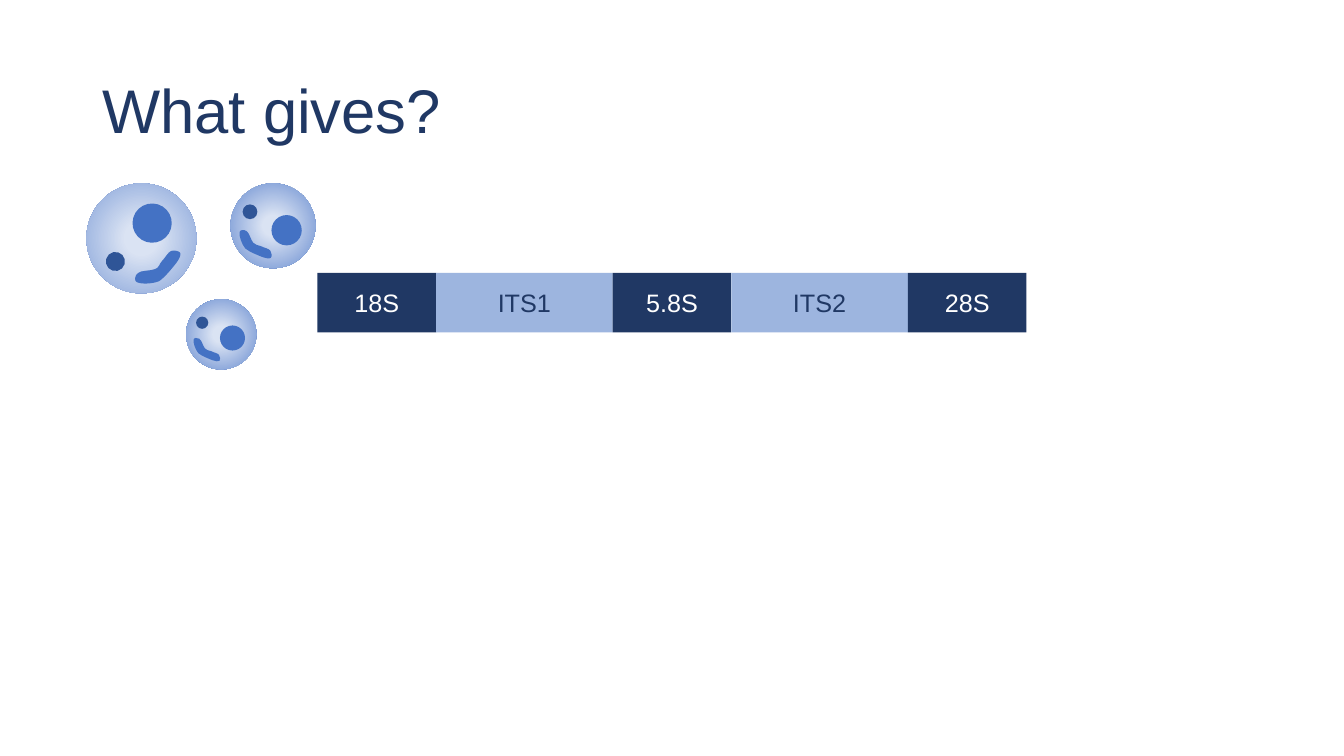
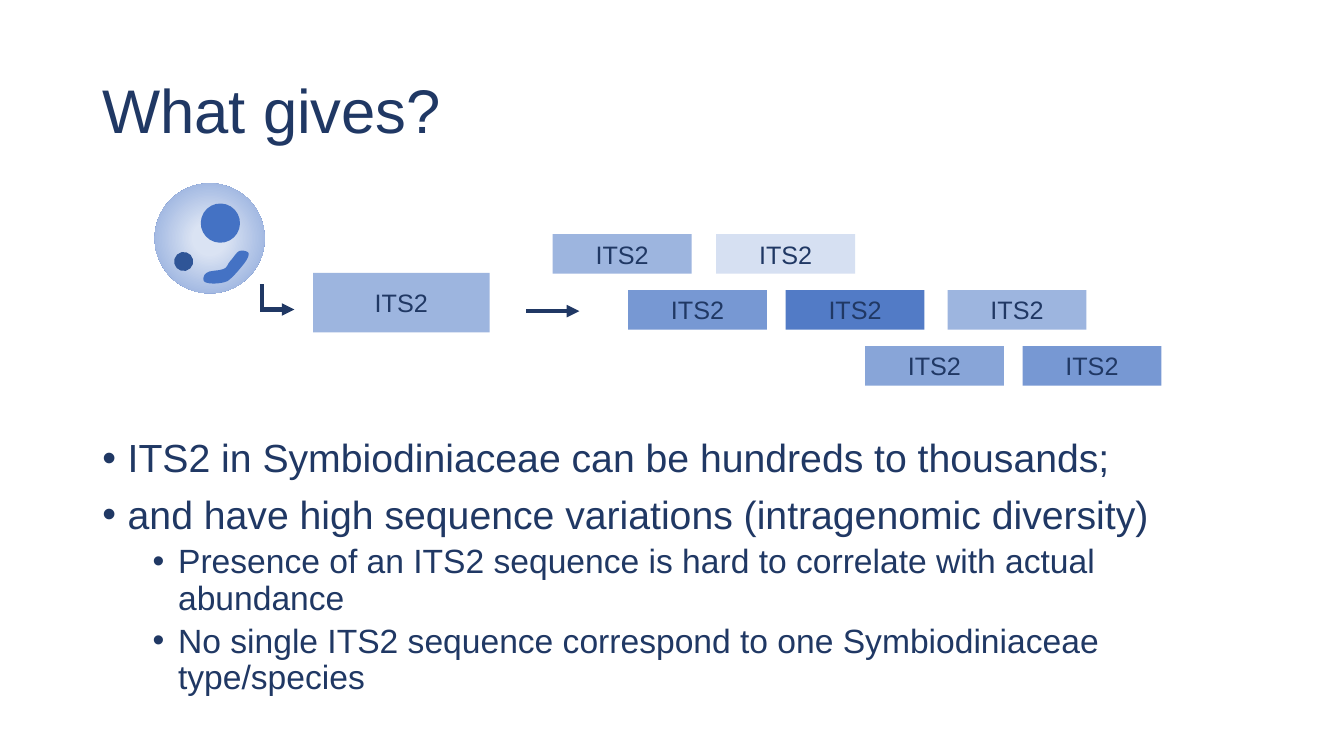
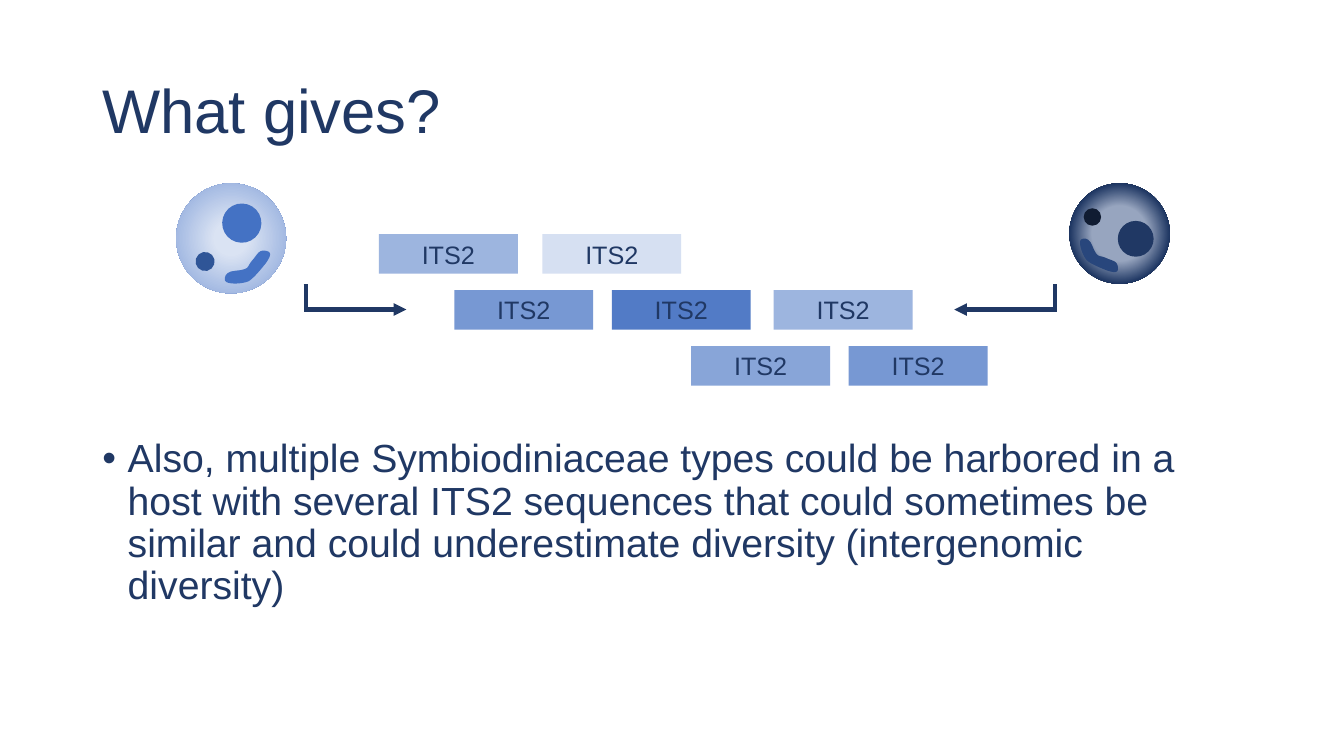
import math

import lxml.etree
import pptx
import pptx.dml.color
import pptx.enum.shapes
import pptx.enum.text
import pptx.oxml.ns
import pptx.util

Cm = pptx.util.Cm
qn = pptx.oxml.ns.qn
SHAPE = pptx.enum.shapes.MSO_SHAPE
CONNECTOR = pptx.enum.shapes.MSO_CONNECTOR
MIDDLE = pptx.enum.text.MSO_ANCHOR.MIDDLE
CENTER = pptx.enum.text.PP_ALIGN.CENTER

COLORS = {
    "navy": "203864", "white": "FFFFFF", "spacer": "9DB5DF", "pale": "D6E0F2",
    "soft": "88A5D8", "medium": "7798D3", "strong": "527BC6", "blue": "4472C4",
    "deep": "2F5597", "ice": "DAE3F3", "sky": "8FAADC", "slate": "97A5BF",
    "midnight": "101C32", "denim": "28467C",
}
LIGHT_CELL = {
    "body": [(17, "ice"), (72, "sky"), (100, "blue")],
    "nucleus": "blue", "vacuole": "deep", "plastid": "blue",
}
DARK_CELL = {
    "body": [(39, "slate"), (70, "navy"), (100, "midnight")],
    "nucleus": "navy", "vacuole": "midnight", "plastid": "denim",
}
BASE_TILT = 17
CELL_TOP = 4.62
BIG_CELL = 2.77
GENE_TOP, GENE_HEIGHT = 6.88, 1.5
CODING_WIDTH, SPACER_WIDTH = 2.99, 4.45
VARIANT_TOP, VARIANT_STEP = 5.9, 1.41
VARIANT_WIDTH, VARIANT_HEIGHT = 3.5, 1.0
ELBOW_OFFSET = 0.06

ROUND_PARTS = [("nucleus", 9.7, -13.8, 35.7), ("vacuole", -23.7, 21.1, 17.4)]
PLASTID_START = (35.3, 13.3)
PLASTID_CURVES = [
    [(34.4, 11.5), (29.8, 10.6), (27.1, 11.5)],
    [(24.3, 12.4), (21.6, 17.9), (18.8, 20.6)],
    [(16.1, 23.4), (16.1, 27.1), (12.4, 28)],
    [(8.7, 29.8), (-0.5, 28.9), (-3.2, 31.7)],
    [(-6, 33.5), (-6.9, 39), (-4.1, 39.9)],
    [(-0.5, 41.7), (9.6, 41.7), (16.1, 39)],
    [(21.6, 35.3), (28, 27.1), (31.7, 22.5)],
    [(34.4, 18.8), (36.2, 15.1), PLASTID_START],
]
VARIANTS = [
    (0, 0, "spacer"), (4.12, 0, "pale"),
    (1.9, 1, "medium"), (5.87, 1, "strong"), (9.95, 1, "spacer"),
    (11.84, 2, "medium"), (7.87, 2, "soft"),
]
BULLET_LEVELS = [
    {"size": 28, "before": 10, "margin": 0.64},
    {"size": 24, "before": 5, "margin": 1.91},
]


def rgb(color):
    """Return the named colour."""
    return pptx.dml.color.RGBColor.from_string(COLORS[color])


def apply_format(target, values):
    """Set each attribute named in values on the target."""
    for name, value in values.items():
        setattr(target, name, value)


def add_child(parent, tag, **attributes):
    """Append a DrawingML element and return it."""
    child = lxml.etree.SubElement(parent, qn(tag))
    for name, value in attributes.items():
        child.set(name, str(value))
    return child


def write(paragraph, text, size, color):
    """Write one styled run into the paragraph."""
    run = paragraph.add_run()
    run.text = text
    apply_format(run.font, {"name": "Arial", "size": pptx.util.Pt(size)})
    run.font.color.rgb = rgb(color)


def paint(part, color):
    """Give a part a flat fill without outline or shadow."""
    part.fill.solid()
    part.fill.fore_color.rgb = rgb(color)
    part.line.fill.background()
    part.shadow.inherit = False


def paint_radial(part, stops):
    """Replace the fill of a part by a circular gradient."""
    part.fill.gradient()
    gradient = part._element.spPr.find(qn("a:gradFill"))
    gradient.clear()
    gradient.set("rotWithShape", "1")
    stop_list = add_child(gradient, "a:gsLst")
    for position, color in stops:
        stop = add_child(stop_list, "a:gs", pos=position * 1000)
        add_child(stop, "a:srgbClr", val=COLORS[color])
    circle = add_child(gradient, "a:path", path="circle")
    add_child(circle, "a:fillToRect", l=50000, t=50000, r=50000, b=50000)


def add_box(shapes, label, left, top, width, height, fill, ink="navy"):
    """Add a labelled sequence box."""
    box = shapes.add_shape(SHAPE.RECTANGLE, Cm(left), Cm(top), Cm(width), Cm(height))
    paint(box, fill)
    box.text_frame.vertical_anchor = MIDDLE
    paragraph = box.text_frame.paragraphs[0]
    paragraph.alignment = CENTER
    write(paragraph, label, 18, ink)


def add_disc(shapes, center, diameter, tilt, color):
    """Add a tilted disc around its centre."""
    left, top = (Cm(value - diameter / 2) for value in center)
    disc = shapes.add_shape(SHAPE.OVAL, left, top, Cm(diameter), Cm(diameter))
    paint(disc, color)
    disc.rotation = tilt
    return disc


def add_curved_outline(shapes, start, controls, color):
    """Add a closed outline whose points, taken by threes, are cubic curves."""
    builder = shapes.build_freeform(*start)
    builder.add_line_segments(controls)
    outline = builder.convert_to_shape()
    paint(outline, color)
    segments = list(outline._element.iter(qn("a:lnTo")))
    for index in range(0, len(segments), 3):
        curve = lxml.etree.Element(qn("a:cubicBezTo"))
        segments[index].addprevious(curve)
        for segment in segments[index:index + 3]:
            curve.append(segment[0])
            segment.getparent().remove(segment)


def add_cell(slide, left, diameter, top=CELL_TOP, tilt=BASE_TILT, palette=LIGHT_CELL):
    """Add a grouped algal cell with its organelles."""
    shapes = slide.shapes.add_group_shape().shapes
    center = (left + diameter / 2, top + diameter / 2)
    turn = math.radians(tilt - BASE_TILT)

    def place(x, y):
        """Turn a percent offset into a slide position."""
        return (center[0] + (x * math.cos(turn) - y * math.sin(turn)) * diameter / 100,
                center[1] + (x * math.sin(turn) + y * math.cos(turn)) * diameter / 100)

    body = add_disc(shapes, center, diameter, tilt, palette["nucleus"])
    paint_radial(body, palette["body"])
    for name, x, y, share in ROUND_PARTS:
        add_disc(shapes, place(x, y), diameter * share / 100, tilt, palette[name])
    start, *controls = [
        tuple(Cm(value) for value in place(*point))
        for point in (PLASTID_START, *(point for curve in PLASTID_CURVES for point in curve))
    ]
    add_curved_outline(shapes, start, controls, palette["plastid"])


def add_arrow(slide, start, end, kind=CONNECTOR.ELBOW):
    """Add an arrow, bent close to its start if it is an elbow."""
    arrow = slide.shapes.add_connector(kind, *(Cm(value) for value in (*start, *end)))
    arrow.line.color.rgb = rgb("navy")
    arrow.line.width = pptx.util.Pt(3)
    properties = arrow._element.spPr
    stroke = properties.find(qn("a:ln"))
    add_child(stroke, "a:miter", lim=800000)
    add_child(stroke, "a:tailEnd", type="triangle")
    add_child(properties, "a:effectLst")
    if kind == CONNECTOR.ELBOW:
        bend = round(100000 * ELBOW_OFFSET / abs(end[0] - start[0]))
        guides = properties.find(qn("a:prstGeom")).find(qn("a:avLst"))
        add_child(guides, "a:gd", name="adj1", fmla=f"val {bend}")


def add_text_area(slide, top, height):
    """Add a wrapped text area in the shared column."""
    frame = slide.shapes.add_textbox(Cm(2.33), Cm(top), Cm(29.21), Cm(height)).text_frame
    frame.word_wrap = True
    return frame


def add_bullets(slide, items):
    """Add the bulleted body from (level, text) items."""
    frame = add_text_area(slide, 10.94, 6.81)
    for index, (level, text) in enumerate(items):
        paragraph = frame.add_paragraph() if index else frame.paragraphs[0]
        style = BULLET_LEVELS[level]
        apply_format(paragraph, {"level": level, "line_spacing": 0.9,
                                 "space_before": pptx.util.Pt(style["before"])})
        properties = paragraph._p.get_or_add_pPr()
        properties.set("marL", str(Cm(style["margin"])))
        properties.set("indent", str(-Cm(0.64)))
        add_child(properties, "a:buFont", typeface="Arial")
        add_child(properties, "a:buChar", char="•")
        write(paragraph, text, style["size"], "navy")


def add_gene(slide):
    """Add the row of coding regions and spacers."""
    shapes = slide.shapes.add_group_shape().shapes
    left = 8.0
    for label in ("18S", "ITS1", "5.8S", "ITS2", "28S"):
        spacer = label.startswith("ITS")
        width = SPACER_WIDTH if spacer else CODING_WIDTH
        fill, ink = ("spacer", "navy") if spacer else ("navy", "white")
        add_box(shapes, label, left, GENE_TOP, width, GENE_HEIGHT, fill, ink)
        left += width


def add_variants(slide, left):
    """Add the scattered ITS2 sequence variants."""
    for offset, row, fill in VARIANTS:
        add_box(slide.shapes, "ITS2", left + offset, VARIANT_TOP + row * VARIANT_STEP,
                VARIANT_WIDTH, VARIANT_HEIGHT, fill)


def add_titled_slide(deck):
    """Add a slide with the shared title."""
    slide = deck.slides.add_slide(deck.slide_layouts[6])
    frame = add_text_area(slide, 1.01, 3.68)
    frame.vertical_anchor = MIDDLE
    frame.paragraphs[0].line_spacing = 0.9
    write(frame.paragraphs[0], "What gives?", 44, "navy")
    return slide


def build_gene_slide(deck):
    """Show the cells and their gene region."""
    slide = add_titled_slide(deck)
    add_gene(slide)
    add_cell(slide, 2.18, BIG_CELL)
    add_cell(slide, 5.81, 2.14, tilt=90)
    add_cell(slide, 4.69, 1.77, top=7.54, tilt=90)


def build_intragenomic_slide(deck):
    """Show the variants within one cell."""
    slide = add_titled_slide(deck)
    add_box(slide.shapes, "ITS2", 7.89, GENE_TOP, SPACER_WIDTH, GENE_HEIGHT, "spacer")
    add_cell(slide, 3.9, BIG_CELL)
    add_bullets(slide, [
        (0, "ITS2 in Symbiodiniaceae can be hundreds to thousands;"),
        (0, "and have high sequence variations (intragenomic diversity)"),
        (1, "Presence of an ITS2 sequence is hard to correlate with actual abundance"),
        (1, "No single ITS2 sequence correspond to one Symbiodiniaceae type/species"),
    ])
    add_arrow(slide, (6.55, 7.21), (7.42, 7.8))
    add_arrow(slide, (13.26, 7.84), (14.6, 7.84), CONNECTOR.STRAIGHT)
    add_variants(slide, 13.93)


def build_intergenomic_slide(deck):
    """Show the variants shared by two cell types."""
    slide = add_titled_slide(deck)
    add_cell(slide, 4.44, BIG_CELL)
    add_cell(slide, 26.95, 2.53, tilt=90, palette=DARK_CELL)
    add_bullets(slide, [
        (0, "Also, multiple Symbiodiniaceae types could be harbored in a host with "
            "several ITS2 sequences that could sometimes be similar and could "
            "underestimate diversity (intergenomic diversity)"),
    ])
    add_variants(slide, 9.55)
    add_arrow(slide, (26.64, 7.21), (24.05, 7.8))
    add_arrow(slide, (7.65, 7.21), (10.24, 7.8))


def main():
    """Build and save the deck."""
    deck = pptx.Presentation()
    apply_format(deck, {"slide_width": Cm(33.87), "slide_height": Cm(19.05)})
    build_gene_slide(deck)
    build_intragenomic_slide(deck)
    build_intergenomic_slide(deck)
    deck.save("out.pptx")


if __name__ == "__main__":
    main()
